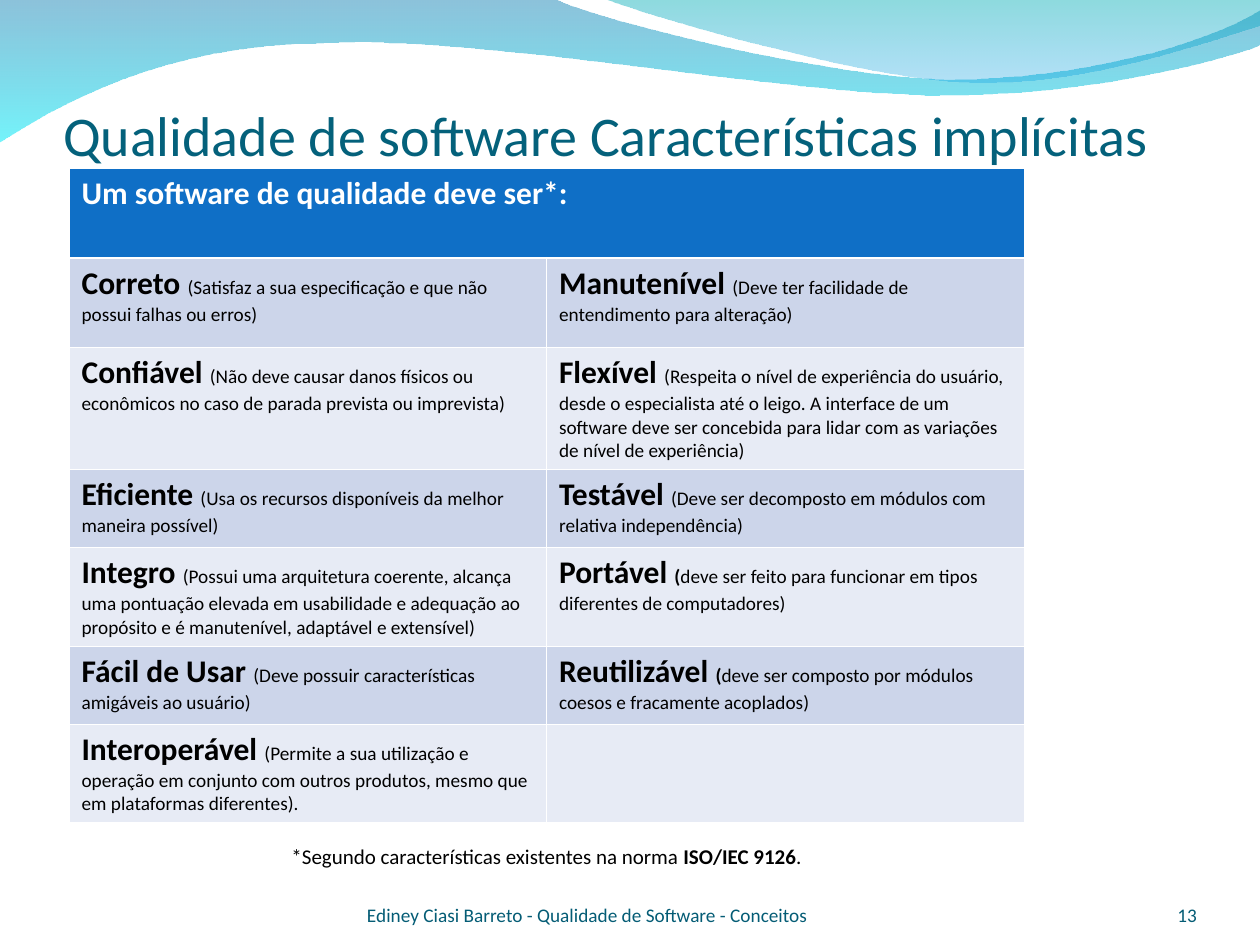
from dataclasses import dataclass

import lxml.etree
import pptx
import pptx.dml.color
import pptx.enum.text
import pptx.oxml.ns
import pptx.util

EMU_PER_PX = 914400 / 126
FONT = "Calibri"
COLOURS = {
    "title": "04617B", "footer": "045C75", "text": "000000", "white": "FFFFFF",
    "header": "0F6FC6", "odd_row": "CCD5EA", "even_row": "E7EBF5",
    "wave_blue": "0079AF", "wave_cyan": "00EBF8",
    "crest_teal": "00ADB6", "crest_blue": "009BE5",
}
ALIGN = pptx.enum.text.PP_ALIGN
ANCHOR = pptx.enum.text.MSO_ANCHOR


@dataclass(frozen=True)
class Wave:
    start: tuple[int, int]
    segments: list[tuple[int, ...]]
    stops: list[tuple[str, int]]


@dataclass(frozen=True)
class Run:
    text: str
    size: int
    colour: str = "text"
    bold: bool = False


@dataclass(frozen=True)
class Caption:
    box: tuple[int, int, int, int]
    runs: list[Run]
    align: ALIGN = ALIGN.LEFT
    anchor: ANCHOR = ANCHOR.BOTTOM
    padded: bool = False


@dataclass(frozen=True)
class Quality:
    name: str
    detail: str
    bold_start: str = ""

    def runs(self) -> list[Run]:
        parts = [Run(self.name + " ", 18, bold=True),
                 Run(self.bold_start, 11, bold=True), Run(self.detail, 11)]
        return [part for part in parts if part.text]


WAVES = [
    Wave((0, -1), [(554, -1), (600, 21, 837, 79, 955, 79), (1074, 79, 1207, 45, 1260, 11),
                   (1261, 45), (1239, 55, 1096, 96, 940, 95), (784, 95, 481, 35, 324, 43),
                   (163, 44, 58, 105, -1, 142), (0, -1)],
         [("wave_blue", 45), ("wave_cyan", 55)]),
    Wave((604, -1), [(642, 14, 859, 78, 969, 82), (1085, 87, 1211, 40, 1260, 26),
                     (1260, 0), (604, -1)],
         [("crest_teal", 45), ("crest_blue", 30)]),
]
TITLE = Caption((63, 97, 1134, 71),
                [Run("Qualidade de software Características implícitas", 32, "title")])
CAPTIONS = [
    Caption((69, 837, 955, 38),
            [Run("*Segundo características existentes na norma ", 12),
             Run("ISO/IEC 9126", 12, bold=True), Run(".", 12)],
            ALIGN.CENTER, ANCHOR.TOP, padded=True),
    Caption((1092, 876, 105, 50), [Run("13", 11, "footer")], ALIGN.RIGHT),
    Caption((367, 876, 462, 50),
            [Run("Ediney Ciasi Barreto - Qualidade de Software - Conceitos", 11, "footer")]),
]
HEADER = Run("Um software de qualidade deve ser*:", 18, "white", True)
QUALITIES = [
    [Quality("Correto", "(Satisfaz a sua especificação e que não possui falhas ou erros)"),
     Quality("Manutenível", "(Deve ter facilidade de entendimento para alteração)")],
    [Quality("Confiável", "(Não deve causar danos físicos ou econômicos no caso de parada "
             "prevista ou imprevista)"),
     Quality("Flexível", "(Respeita o nível de experiência do usuário, desde o especialista "
             "até o leigo. A interface de um software deve ser concebida para lidar com as "
             "variações de nível de experiência)")],
    [Quality("Eficiente", "(Usa os recursos disponíveis da melhor maneira possível)"),
     Quality("Testável", "(Deve ser decomposto em módulos com relativa independência)")],
    [Quality("Integro", "(Possui uma arquitetura coerente, alcança uma pontuação elevada em "
             "usabilidade e adequação ao propósito e é manutenível, adaptável e extensível)"),
     Quality("Portável", "deve ser feito para funcionar em tipos diferentes de computadores)", "(")],
    [Quality("Fácil de Usar", "(Deve possuir características amigáveis ao usuário)"),
     Quality("Reutilizável", "deve ser composto por módulos coesos e fracamente acoplados)", "(")],
    [Quality("Interoperável", "(Permite a sua utilização e operação em conjunto com outros "
             "produtos, mesmo que em plataformas diferentes).")],
]
TABLE_BOX = (69, 168, 955, 653)
ROW_HEIGHTS = [90, 89, 122, 78, 98, 78, 98]


def px(length: float) -> int:
    return round(length * EMU_PER_PX)


def rgb(name: str) -> pptx.dml.color.RGBColor:
    return pptx.dml.color.RGBColor.from_string(COLOURS[name])


def apply_format(target, values: dict) -> None:
    for attribute, value in values.items():
        setattr(target, attribute, value)


def bend_segments(shape, segments: list[tuple[int, ...]]) -> None:
    lines = iter(list(shape._element.iter(pptx.oxml.ns.qn("a:lnTo"))))
    for segment in segments:
        corners = [next(lines) for _ in range(len(segment) // 2)]
        if len(corners) == 3:
            curve = lxml.etree.Element(pptx.oxml.ns.qn("a:cubicBezTo"))
            corners[0].addprevious(curve)
            for corner in corners:
                curve.append(corner[0])
                corner.getparent().remove(corner)


def draw_wave(slide, wave: Wave) -> None:
    corners = [segment[i:i + 2] for segment in wave.segments for i in range(0, len(segment), 2)]
    builder = slide.shapes.build_freeform(*wave.start, scale=EMU_PER_PX)
    builder.add_line_segments(corners, close=True)
    shape = builder.convert_to_shape()
    bend_segments(shape, wave.segments)
    shape.shadow.inherit = False
    shape.line.fill.background()
    shape.fill.gradient()
    shape.fill.gradient_angle = 270
    for stop, (colour, _) in zip(shape.fill.gradient_stops, wave.stops):
        stop.color.rgb = rgb(colour)
    gradient_colours = shape._element.spPr.iter(pptx.oxml.ns.qn("a:srgbClr"))
    for element, (_, opacity) in zip(gradient_colours, wave.stops):
        lxml.etree.SubElement(element, pptx.oxml.ns.qn("a:alpha"), val=str(opacity * 1000))


def write_runs(paragraph, runs: list[Run]) -> None:
    for part in runs:
        run = paragraph.add_run()
        run.text = part.text
        apply_format(run.font, {"name": FONT, "size": pptx.util.Pt(part.size), "bold": part.bold})
        run.font.color.rgb = rgb(part.colour)


def write_caption(shape, caption: Caption) -> None:
    apply_format(shape, dict(zip(("left", "top", "width", "height"), map(px, caption.box))))
    apply_format(shape.text_frame, {
        "word_wrap": True, "auto_size": pptx.enum.text.MSO_AUTO_SIZE.NONE,
        "vertical_anchor": caption.anchor})
    if not caption.padded:
        apply_format(shape.text_frame, dict.fromkeys(
            ("margin_left", "margin_top", "margin_right", "margin_bottom"), 0))
    paragraph = shape.text_frame.paragraphs[0]
    paragraph.alignment = caption.align
    write_runs(paragraph, caption.runs)


def style_cell(cell, fill: str, top: float, bottom: float) -> None:
    cell.fill.solid()
    cell.fill.fore_color.rgb = rgb(fill)
    properties = cell._tc.get_or_add_tcPr()
    borders = {"a:lnL": 0.45, "a:lnR": 0.45, "a:lnT": top, "a:lnB": bottom}
    for position, (tag, width) in enumerate(borders.items()):
        border = lxml.etree.Element(pptx.oxml.ns.qn(tag), w=str(int(pptx.util.Pt(width))))
        solid = lxml.etree.SubElement(border, pptx.oxml.ns.qn("a:solidFill"))
        lxml.etree.SubElement(solid, pptx.oxml.ns.qn("a:srgbClr"), val=COLOURS["white"])
        properties.insert(position, border)


def draw_qualities(slide) -> None:
    table = slide.shapes.add_table(len(ROW_HEIGHTS), 2, *map(px, TABLE_BOX)).table
    for row, height in zip(table.rows, ROW_HEIGHTS):
        row.height = px(height)
    for row in range(len(ROW_HEIGHTS)):
        fill = "header" if row == 0 else "odd_row" if row % 2 else "even_row"
        for column in range(2):
            style_cell(table.cell(row, column), fill,
                       1.47 if row == 1 else 0.45, 1.47 if row == 0 else 0.45)
    table.cell(0, 0).merge(table.cell(0, 1))
    write_runs(table.cell(0, 0).text_frame.paragraphs[0], [HEADER])
    for row, pair in enumerate(QUALITIES, start=1):
        for column, quality in enumerate(pair):
            write_runs(table.cell(row, column).text_frame.paragraphs[0], quality.runs())


def main() -> None:
    deck = pptx.Presentation()
    apply_format(deck, {"slide_width": px(1260), "slide_height": px(945)})
    slide = deck.slides.add_slide(deck.slide_layouts[5])
    for wave in WAVES:
        draw_wave(slide, wave)
    title = slide.shapes.title
    slide.shapes._spTree.append(title._element)
    write_caption(title, TITLE)
    draw_qualities(slide)
    for caption in CAPTIONS:
        write_caption(slide.shapes.add_textbox(0, 0, 0, 0), caption)
    deck.save("out.pptx")


if __name__ == "__main__":
    main()
